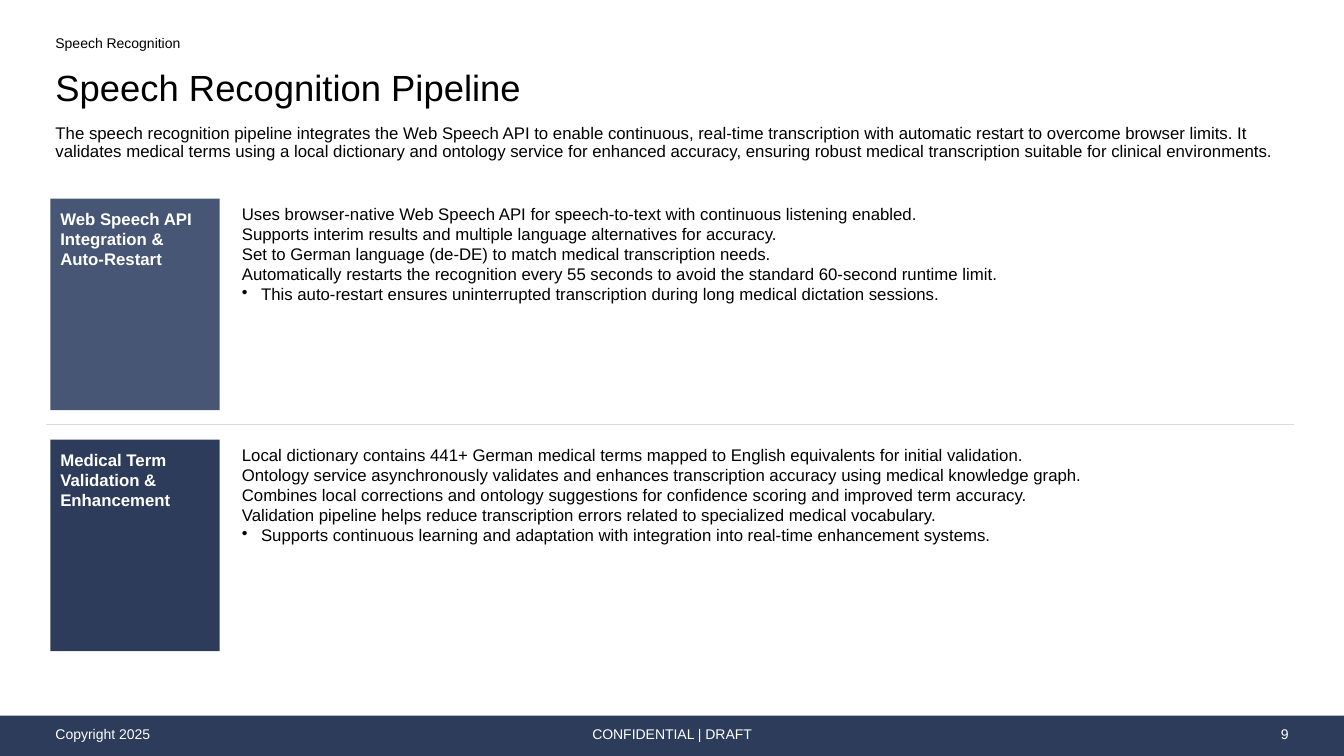
from dataclasses import dataclass

import lxml.etree
import pptx
import pptx.dml.color
import pptx.enum.shapes
import pptx.enum.text
import pptx.oxml
import pptx.oxml.ns
import pptx.util

FONT = "Arial"
BLACK, WHITE, NAVY, SLATE, RULE_GREY = "000000", "FFFFFF", "2C3C5A", "465674", "D5DBE1"
ALIGN = pptx.enum.text.PP_ALIGN
ANCHOR = pptx.enum.text.MSO_ANCHOR

# Frames are given in percent of the slide's width and height.
MARGIN, CONTENT_WIDTH = 3.75, 92.5
SECTION_TOP, SECTION_HEIGHT, SECTION_GAP = 26.27, 28, 3.87
LABEL_WIDTH, DETAIL_LEFT, DETAIL_WIDTH = 12.6, 17.62, 78.75
FOOTER_TOP, FOOTER_HEIGHT = 95.2, 3.73

presentation = pptx.Presentation()
presentation.slide_width = pptx.util.Inches(13.33)
presentation.slide_height = pptx.util.Inches(7.5)
slide = presentation.slides.add_slide(presentation.slide_layouts[6])


@dataclass(frozen=True)
class Frame:
    left: float
    top: float
    width: float
    height: float


@dataclass(frozen=True)
class TextStyle:
    size: float = 12
    color: str = BLACK
    bold: bool = False
    align: ALIGN = ALIGN.LEFT
    anchor: ANCHOR = ANCHOR.TOP
    line_spacing: float = 1.0
    space_before: float = 0
    insets: tuple[float, float, float, float] = (0.05, 0.05, 0.05, 0.05)


@dataclass(frozen=True)
class TextBlock:
    text: str
    frame: Frame
    style: TextStyle


@dataclass(frozen=True)
class Section:
    label: str
    fill: str
    details: tuple[str, ...]


def footer_style(align: ALIGN) -> TextStyle:
    return TextStyle(size=10, color=WHITE, align=align, anchor=ANCHOR.MIDDLE)


def footer_frame(left: float, width: float) -> Frame:
    return Frame(left, FOOTER_TOP, width, FOOTER_HEIGHT)


DETAIL_STYLE = TextStyle()
LABEL_STYLE = TextStyle(color=WHITE, bold=True, insets=(0.1, 0.1, 0.1, 0.1))

HEADINGS = (
    TextBlock("Speech Recognition Pipeline", Frame(MARGIN, 8, CONTENT_WIDTH, 7.2),
              TextStyle(size=26, anchor=ANCHOR.MIDDLE, line_spacing=0.9,
                        insets=(0.05, 0.05, 0.05, 0))),
    TextBlock("Speech Recognition", Frame(MARGIN, 4.13, CONTENT_WIDTH, 3.87),
              TextStyle(size=10, line_spacing=0.9, space_before=10)),
    TextBlock("The speech recognition pipeline integrates the Web Speech API to enable continuous, "
              "real-time transcription with automatic restart to overcome browser limits. It "
              "validates medical terms using a local dictionary and ontology service for enhanced "
              "accuracy, ensuring robust medical transcription suitable for clinical environments.",
              Frame(MARGIN, 15.2, CONTENT_WIDTH, 9.07),
              TextStyle(line_spacing=0.9, space_before=10, insets=(0.05, 0.1, 0.05, 0.05))),
)

SECTIONS = (
    Section("Web Speech API Integration & Auto-Restart", SLATE, (
        "Uses browser-native Web Speech API for speech-to-text with continuous listening enabled.",
        "Supports interim results and multiple language alternatives for accuracy.",
        "Set to German language (de-DE) to match medical transcription needs.",
        "Automatically restarts the recognition every 55 seconds to avoid the standard "
        "60-second runtime limit.",
        "This auto-restart ensures uninterrupted transcription during long medical dictation "
        "sessions.")),
    Section("Medical Term Validation & Enhancement", NAVY, (
        "Local dictionary contains 441+ German medical terms mapped to English equivalents for "
        "initial validation.",
        "Ontology service asynchronously validates and enhances transcription accuracy using "
        "medical knowledge graph.",
        "Combines local corrections and ontology suggestions for confidence scoring and improved "
        "term accuracy.",
        "Validation pipeline helps reduce transcription errors related to specialized medical "
        "vocabulary.",
        "Supports continuous learning and adaptation with integration into real-time enhancement "
        "systems.")),
)

FOOTERS = (
    TextBlock("Copyright 2025", footer_frame(MARGIN, 29.78), footer_style(ALIGN.LEFT)),
    TextBlock("CONFIDENTIAL | DRAFT", footer_frame(33.13, 33.75), footer_style(ALIGN.CENTER)),
    TextBlock("9", footer_frame(73.75, 22.5), footer_style(ALIGN.RIGHT)),
)


def rgb(color: str) -> pptx.dml.color.RGBColor:
    return pptx.dml.color.RGBColor.from_string(color)


def across(percent: float) -> int:
    return round(presentation.slide_width * percent / 100)


def down(percent: float) -> int:
    return round(presentation.slide_height * percent / 100)


def place(frame: Frame) -> tuple[int, int, int, int]:
    return across(frame.left), down(frame.top), across(frame.width), down(frame.height)


def write_text(shape, text: str, style: TextStyle) -> None:
    text_frame = shape.text_frame
    text_frame.text = text
    text_frame.word_wrap = True
    text_frame.vertical_anchor = style.anchor
    (text_frame.margin_left, text_frame.margin_top, text_frame.margin_right,
     text_frame.margin_bottom) = map(pptx.util.Inches, style.insets)
    for paragraph in text_frame.paragraphs:
        paragraph.alignment = style.align
        paragraph.line_spacing = style.line_spacing
        paragraph.space_before = pptx.util.Pt(style.space_before)
        for run in paragraph.runs:
            run.font.name = FONT
            run.font.size = pptx.util.Pt(style.size)
            run.font.bold = style.bold
            run.font.color.rgb = rgb(style.color)


def add_text(block: TextBlock):
    box = slide.shapes.add_textbox(*place(block.frame))
    write_text(box, block.text, block.style)
    return box


def add_panel(frame: Frame, fill: str):
    panel = slide.shapes.add_shape(pptx.enum.shapes.MSO_SHAPE.RECTANGLE, *place(frame))
    panel.shadow.inherit = False
    panel.fill.solid()
    panel.fill.fore_color.rgb = rgb(fill)
    panel.line.fill.background()
    return panel


def add_bullet(paragraph) -> None:
    properties = paragraph._p.get_or_add_pPr()
    indent = pptx.util.Inches(0.19)
    properties.set("marL", str(indent))
    properties.set("indent", str(-indent))
    bullet = lxml.etree.SubElement(properties, pptx.oxml.ns.qn("a:buChar"))
    bullet.set("char", "•")


def add_divider(top: float) -> None:
    divider = slide.shapes.add_connector(
        pptx.enum.shapes.MSO_CONNECTOR.STRAIGHT,
        across(3.45), down(top), across(MARGIN + CONTENT_WIDTH), down(top))
    divider.line.color.rgb = rgb(RULE_GREY)
    divider.line.width = pptx.util.Pt(0.75)
    lxml.etree.SubElement(divider._element.spPr, pptx.oxml.ns.qn("a:effectLst"))


def add_section(section: Section, top: float) -> None:
    """Draw the coloured label and its details; only the closing detail is bulleted."""
    details = add_text(TextBlock("\n".join(section.details),
                                 Frame(DETAIL_LEFT, top, DETAIL_WIDTH, SECTION_HEIGHT),
                                 DETAIL_STYLE))
    add_bullet(details.text_frame.paragraphs[-1])
    label = add_panel(Frame(MARGIN, top, LABEL_WIDTH, SECTION_HEIGHT), section.fill)
    write_text(label, section.label, LABEL_STYLE)


def main() -> None:
    add_panel(Frame(0, 94.67, 100, 5.33), NAVY)
    for block in HEADINGS + FOOTERS:
        add_text(block)
    for index, section in enumerate(SECTIONS):
        top = SECTION_TOP + index * (SECTION_HEIGHT + SECTION_GAP)
        add_section(section, top)
        if index:
            add_divider(top - SECTION_GAP / 2)
    presentation.save("out.pptx")


if __name__ == "__main__":
    main()
